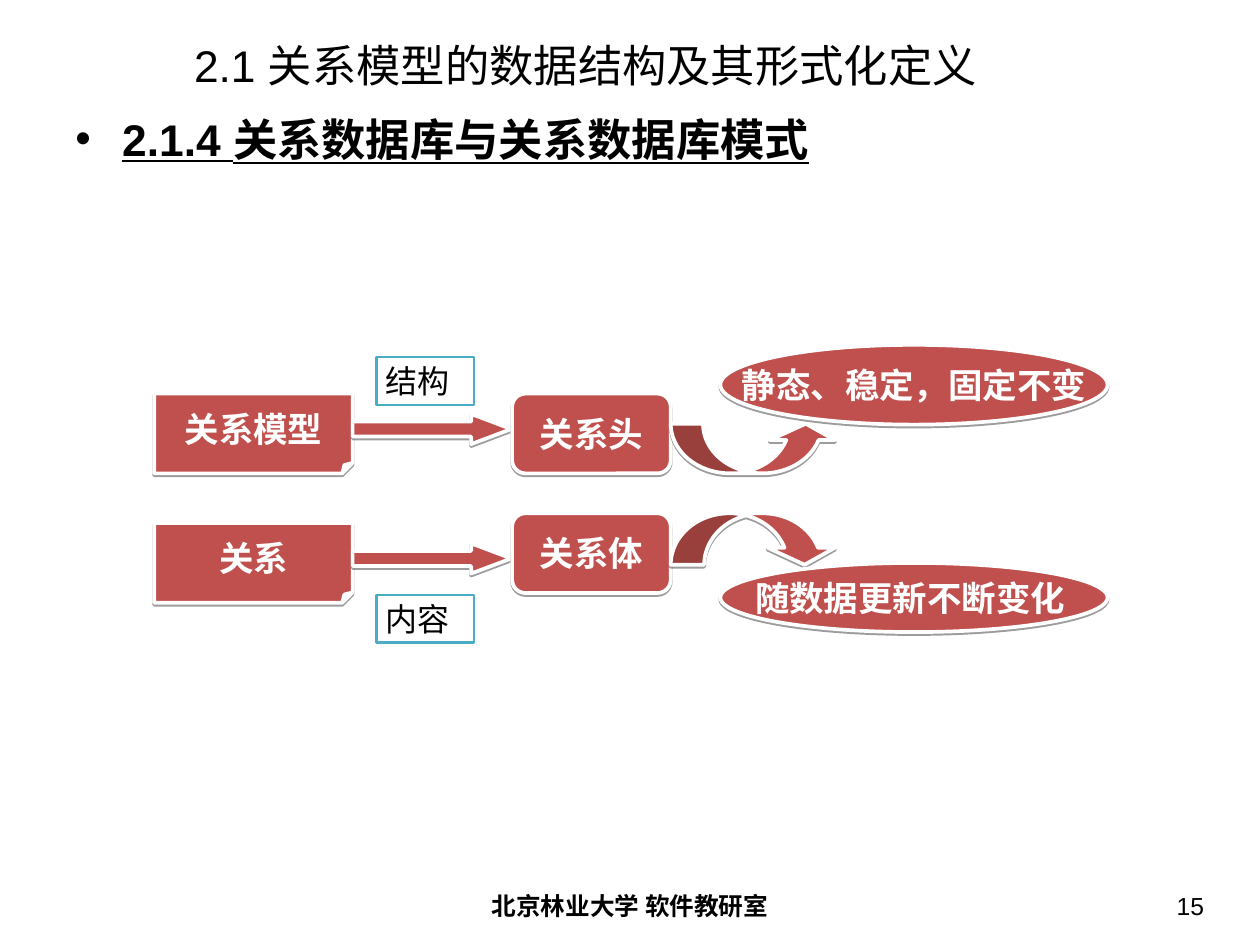
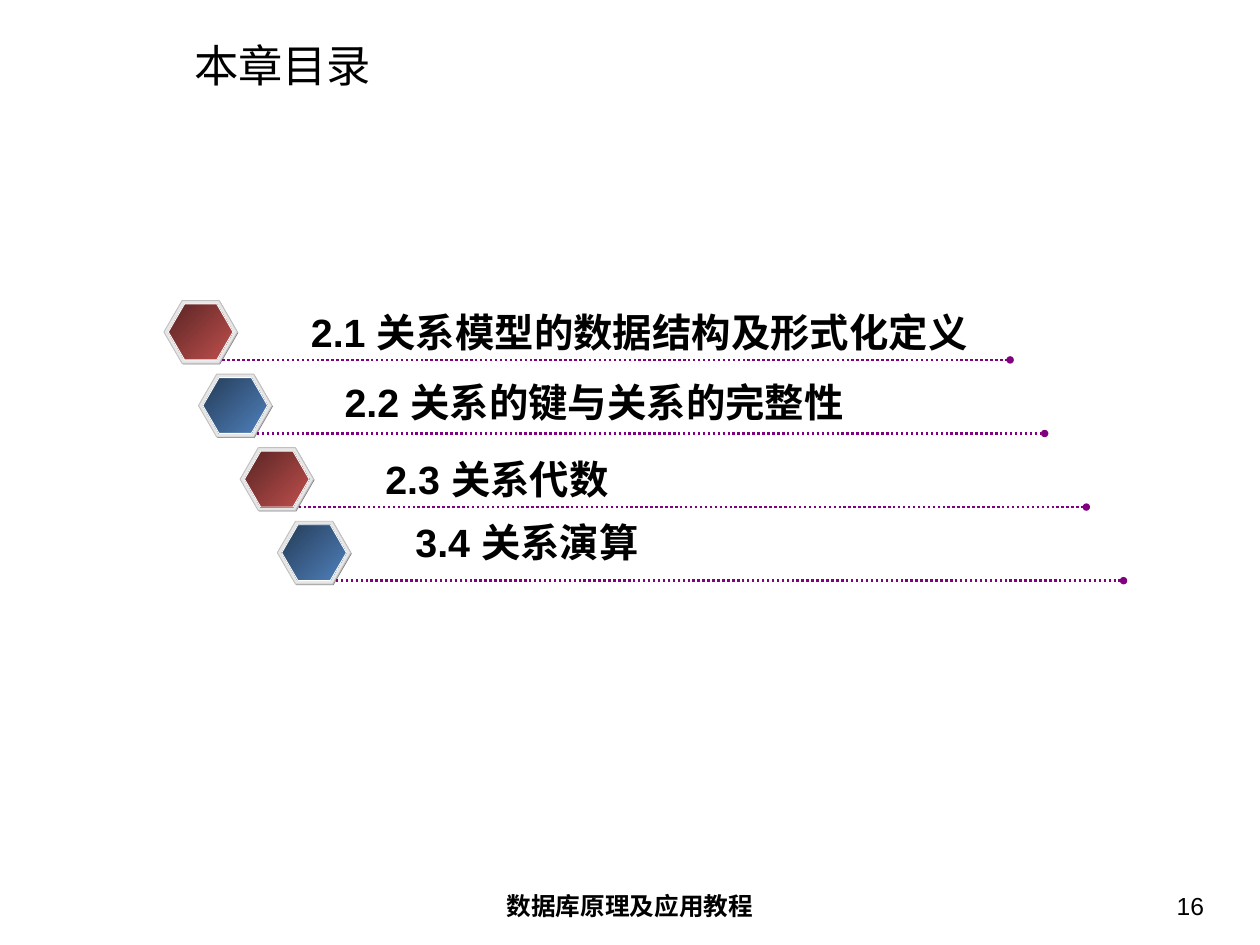
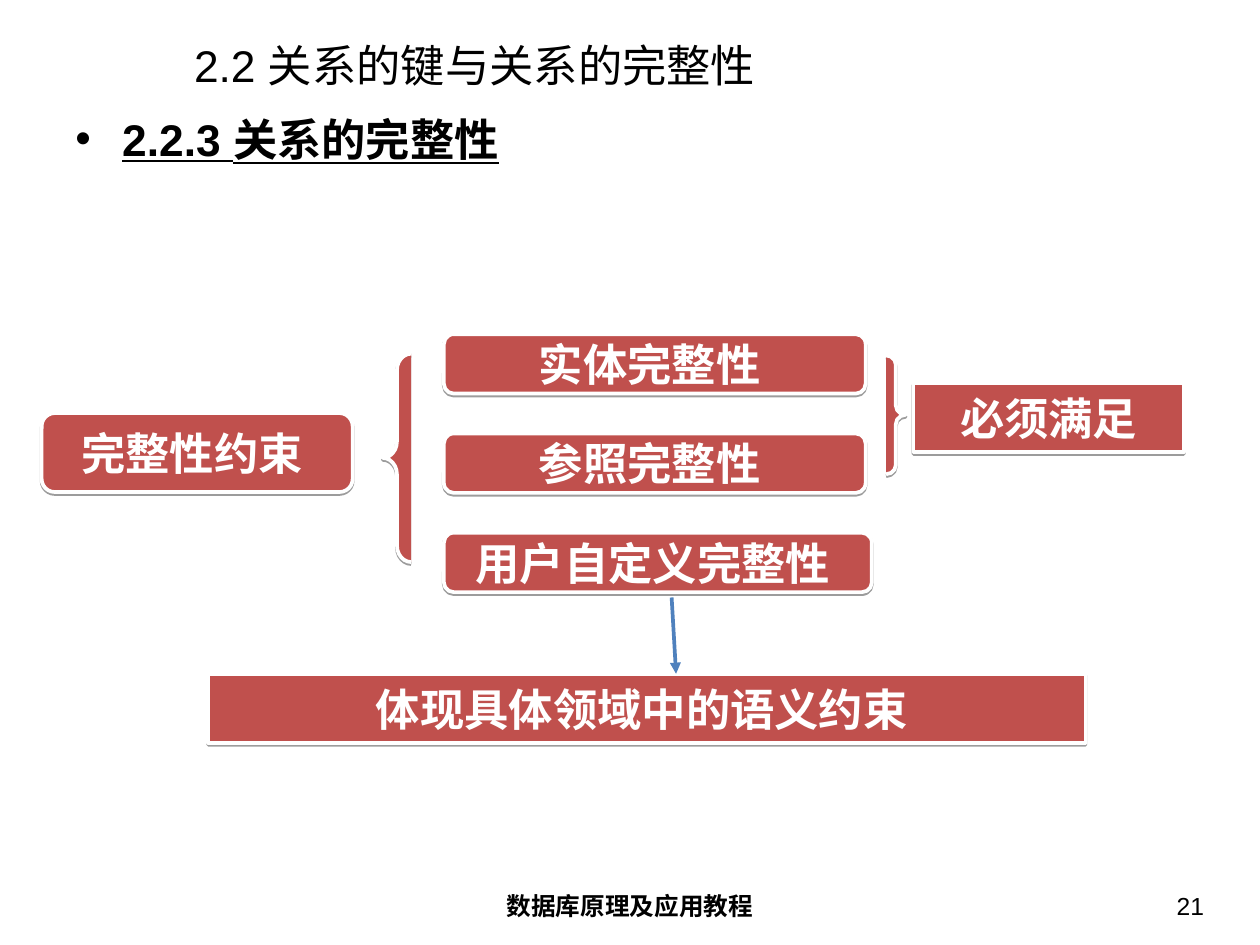
"""Build three slides on relational schemas and integrity constraints."""
from dataclasses import dataclass

from lxml import etree
from pptx import Presentation
from pptx.dml.color import RGBColor
from pptx.enum.dml import MSO_LINE
from pptx.enum.shapes import MSO_CONNECTOR, MSO_SHAPE
from pptx.enum.text import MSO_ANCHOR, MSO_AUTO_SIZE, PP_ALIGN
from pptx.oxml.ns import qn
from pptx.util import Inches, Pt

LEFT, CENTER, RIGHT = PP_ALIGN.LEFT, PP_ALIGN.CENTER, PP_ALIGN.RIGHT
TOP, MIDDLE = MSO_ANCHOR.TOP, MSO_ANCHOR.MIDDLE
RECT, ROUND, OVAL = MSO_SHAPE.RECTANGLE, MSO_SHAPE.ROUNDED_RECTANGLE, MSO_SHAPE.OVAL
FOLDED, HEXAGON, ARROW = MSO_SHAPE.FOLDED_CORNER, MSO_SHAPE.HEXAGON, MSO_SHAPE.RIGHT_ARROW
CURVE_UP, CURVE_DOWN = MSO_SHAPE.CURVED_UP_ARROW, MSO_SHAPE.CURVED_DOWN_ARROW
LEFT_BRACE, RIGHT_BRACE = MSO_SHAPE.LEFT_BRACE, MSO_SHAPE.RIGHT_BRACE
STRAIGHT, DOTTED = MSO_CONNECTOR.STRAIGHT, MSO_LINE.ROUND_DOT


@dataclass(frozen=True)
class Theme:
    font: str = "Arial"
    ink: str = "000000"
    white: str = "FFFFFF"
    red: str = "C0504D"
    red_dark: str = "592524"
    blue: str = "4F81BD"
    blue_dark: str = "253C57"
    teal: str = "4BACC6"
    purple: str = "800080"
    rim: str = "E6E6E6"
    rim_line: str = "C0C0C0"
    rim_shade: str = "808080"
    heading: int = 36
    entry: int = 32
    node: int = 28
    label: int = 26
    footer: int = 20
    wide_inset: tuple = (0.14, 0.07)
    inset: tuple = (0.1, 0.05)


T = Theme()
COURSE = "数据库原理及应用教程"
CURVE = (0.65, 1.31, 0.33)

SCHEMA = dict(
    title="2.1 关系模型的数据结构及其形式化定义",
    heading="2.1.4 关系数据库与关系数据库模式",
    footer="北京林业大学 软件教研室", number="15", size=T.node,
    nodes=[
        (FOLDED, (1.74, 4.44, 2.24, 0.9), "关系模型", (0.13,)),
        (FOLDED, (1.74, 5.9, 2.24, 0.9), "关系", (0.13,)),
        (ARROW, (3.98, 4.67, 1.79, 0.34), "", (0.5, 1.33)),
        (ARROW, (3.98, 6.13, 1.79, 0.34), "", (0.5, 1.33)),
        (ROUND, (5.78, 4.44, 1.79, 0.9), "关系头", ()),
        (ROUND, (5.78, 5.79, 1.79, 0.9), "关系体", ()),
        (CURVE_DOWN, (7.57, 5.79, 1.89, 0.58), "", CURVE),
        (CURVE_UP, (7.57, 4.78, 1.89, 0.56), "", CURVE),
        (OVAL, (8.13, 3.89, 4.37, 0.9), "静态、稳定，固定不变", ()),
        (OVAL, (8.13, 6.35, 4.37, 0.78), "随数据更新不断变化 ", ()),
    ])
LABELS = [("结构", 4.03), ("内容", 6.71)]

CONTENTS = dict(title="本章目录", footer=COURSE, number="16")
ENTRIES = [
    ("2.1 关系模型的数据结构及形式化定义", 1.85, (3.41, 3.43, 7.72, 0.64)),
    ("2.2 关系的键与关系的完整性", 2.24, (3.79, 4.22, 5.94, 0.64)),
    ("2.3 关系代数", 2.71, (4.25, 5.09, 2.83, 0.64)),
    ("3.4 关系演算", 3.13, (4.59, 5.8, 2.83, 0.64)),
]
ENTRY_TOP, ENTRY_STEP = 3.39, 0.83

INTEGRITY = dict(
    title="2.2 关系的键与关系的完整性",
    heading="2.2.3 关系的完整性",
    footer=COURSE, number="21", size=T.heading,
    nodes=[
        (ROUND, (0.47, 4.66, 3.51, 0.89), "完整性约束 ", ()),
        (ROUND, (5.01, 3.77, 4.76, 0.67), "实体完整性 ", ()),
        (ROUND, (5.01, 4.89, 4.76, 0.67), "参照完整性 ", ()),
        (ROUND, (5.01, 6.01, 4.83, 0.67), "用户自定义完整性 ", ()),
        (LEFT_BRACE, (4.32, 3.99, 0.32, 2.35), "", (0.58, 0.5)),
        (RIGHT_BRACE, (10, 4.01, 0.22, 1.34), "", (0.48, 0.5)),
        (RECT, (10.31, 4.32, 3.05, 0.78), "必须满足", ()),
        (RECT, (2.35, 7.6, 9.9, 0.78), "体现具体领域中的语义约束 ", ()),
    ])


def rgb(value):
    return RGBColor.from_string(value)


def box(at):
    return [Inches(v) for v in at]


def write(sp, text, size, color=T.ink, bold=False, underline=False, align=LEFT,
          anchor=TOP, inset=T.wide_inset, wrap=True):
    tf = sp.text_frame
    tf.auto_size = MSO_AUTO_SIZE.NONE
    tf.word_wrap = wrap
    tf.vertical_anchor = anchor
    tf.margin_left = tf.margin_right = Inches(inset[0])
    tf.margin_top = tf.margin_bottom = Inches(inset[1])
    p = tf.paragraphs[0]
    p.alignment = align
    r = p.add_run()
    r.text = text
    r.font.name, r.font.size = T.font, Pt(size)
    r.font.bold, r.font.underline = bold, underline
    r.font.color.rgb = rgb(color)
    return p


def add_text(shapes, at, text, size, **fmt):
    return write(shapes.add_textbox(*box(at)), text, size, **fmt)


def set_adjustments(sp, values):
    guides = sp._element.spPr.find(qn("a:prstGeom")).find(qn("a:avLst"))
    for guide in list(guides):
        guides.remove(guide)
    for i, value in enumerate(values, 1):
        name = f"adj{i}" if len(values) > 1 else "adj"
        etree.SubElement(guides, qn("a:gd"), name=name, fmla=f"val {round(value * 100000)}")


def add_preset(shapes, kind, at, fill, line=None, width=0.75, adj=()):
    sp = shapes.add_shape(kind, *box(at))
    sp.shadow.inherit = False
    if adj:
        set_adjustments(sp, adj)
    if isinstance(fill, tuple):
        sp.fill.gradient()
        sp.fill.gradient_angle = 315
        for stop, color in zip(sp.fill.gradient_stops, fill):
            stop.color.rgb = rgb(color)
    else:
        sp.fill.solid()
        sp.fill.fore_color.rgb = rgb(fill)
    if line:
        sp.line.color.rgb = rgb(line)
        sp.line.width = Pt(width)
    else:
        sp.line.fill.background()
    return sp


def add_shadow(sp):
    effects = sp._element.spPr.find(qn("a:effectLst"))
    shadow = etree.SubElement(effects, qn("a:outerShdw"), blurRad="0", dist=str(int(Pt(1.6))),
                              dir="5400000", rotWithShape="0")
    color = etree.SubElement(shadow, qn("a:srgbClr"), val=T.ink)
    etree.SubElement(color, qn("a:alpha"), val="38000")


def add_line(shapes, start, end, color, width, tail, dash=None):
    line = shapes.add_connector(STRAIGHT, *box(start + end))
    line.line.color.rgb = rgb(color)
    line.line.width = Pt(width)
    if dash:
        line.line.dash_style = dash
    spPr = line._element.spPr
    etree.SubElement(spPr.find(qn("a:ln")), qn("a:tailEnd"), type=tail)
    etree.SubElement(spPr, qn("a:effectLst"))


def add_heading(shapes, text):
    p = add_text(shapes, (0.71, 1.19, 12.8, 0.89), text, T.heading, bold=True, underline=True)
    p.space_before = Pt(9)
    pPr = p._p.get_or_add_pPr()
    pPr.set("marL", str(int(Inches(0.53))))
    pPr.set("indent", str(int(Inches(-0.53))))
    etree.SubElement(pPr, qn("a:buFont"), typeface=T.font)
    etree.SubElement(pPr, qn("a:buChar"), char="•")


def add_slide(prs, content):
    slide = prs.slides.add_slide(prs.slide_layouts[5])
    shapes = slide.shapes
    title = shapes.title
    title.left, title.top, title.width, title.height = box((2.05, 0.45, 11.83, 0.57))
    write(title, content["title"], T.heading, anchor=MIDDLE)
    add_text(shapes, (4.86, 9.98, 4.5, 0.55), content["footer"], T.footer,
             bold=True, align=CENTER)
    add_text(shapes, (10.41, 9.98, 3.32, 0.55), content["number"], T.footer, align=RIGHT)
    if "heading" in content:
        add_heading(shapes, content["heading"])
    for kind, at, text, adj in content.get("nodes", []):
        sp = add_preset(shapes, kind, at, T.red, T.white, 3, adj)
        add_shadow(sp)
        if text:
            write(sp, text, content["size"], color=T.white, bold=True, align=CENTER,
                  anchor=MIDDLE, wrap=False)
    return shapes


def add_entry(shapes, index, text, x, text_at):
    y = ENTRY_TOP + index * ENTRY_STEP
    gradient = [(T.red_dark, T.red), (T.blue_dark, T.blue)][index % 2]
    group = shapes.add_group_shape().shapes
    for at, fill, line in [
        ((x + 0.01, y + 0.01, 0.83, 0.71), T.rim_shade, None),
        ((x, y, 0.83, 0.71), T.rim, T.rim_line),
        ((x + 0.05, y + 0.04, 0.73, 0.63), gradient, T.white),
    ]:
        add_preset(group, HEXAGON, at, fill, line, adj=(0.29,))
    base = y + 0.67
    add_line(group, (x + 0.66, base), (x + 9.55, base), T.purple, 2, "oval", DOTTED)
    add_text(group, text_at, text, T.entry, bold=True, inset=T.inset, wrap=False)


def main():
    prs = Presentation()
    prs.slide_width, prs.slide_height = Inches(14.22), Inches(10.66)

    shapes = add_slide(prs, SCHEMA)
    for text, top in LABELS:
        sp = add_preset(shapes, RECT, (4.25, top, 1.1, 0.54), T.white, T.teal, 2)
        write(sp, text, T.label, inset=T.inset)

    shapes = add_slide(prs, CONTENTS)
    for index, entry in enumerate(ENTRIES):
        add_entry(shapes, index, *entry)

    shapes = add_slide(prs, INTEGRITY)
    add_line(shapes, (7.58, 6.74), (7.63, 7.6), T.blue, 3, "triangle")

    prs.save("out.pptx")


if __name__ == "__main__":
    main()
